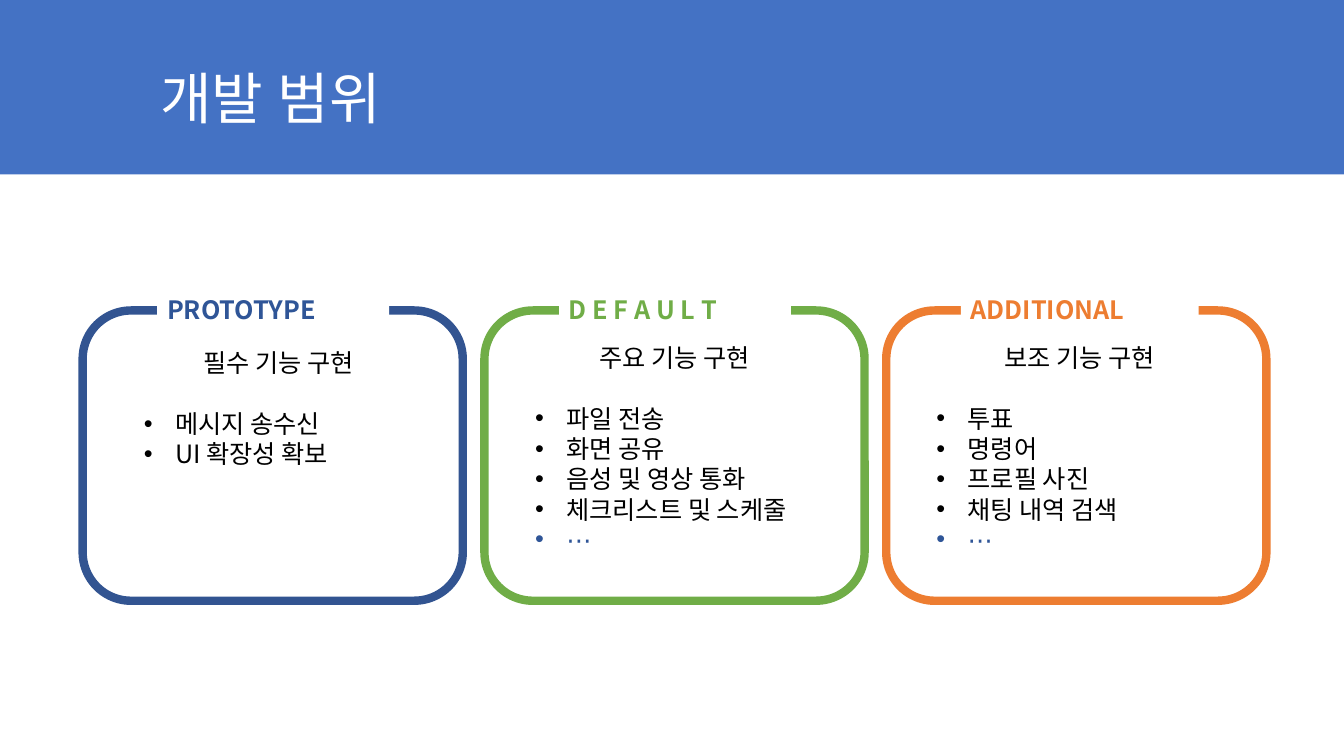
from lxml import etree
from pptx import Presentation
from pptx.dml.color import RGBColor
from pptx.enum import shapes, text
from pptx.oxml.ns import qn
from pptx.util import Inches, Pt

HUES = {"band": "4472C4", "blue": "325491", "navy": "2F5597", "green": "70AD47",
        "orange": "ED7D31", "white": "FFFFFF", "black": "000000"}
SANS = "Noto Sans CJK KR"
TITLE = "개발 범위"
MORE = "⋯"
CARDS = [
    {"name": "PROTOTYPE", "line": "blue", "ink": "navy", "head": "필수 기능 구현",
     "items": ["메시지 송수신", "UI 확장성 확보"],
     "body": (1.33, 3.4, 2.86, 1.31), "tag": 2.3},
    {"name": "D E F A U L T", "line": "green", "ink": "green", "head": "주요 기능 구현",
     "items": ["파일 전송", "화면 공유", "음성 및 영상 통화", "체크리스트 및 스케줄", MORE],
     "body": (5.21, 3.35, 2.97, 2.22), "tag": 2.3},
    {"name": "ADDITIONAL", "line": "orange", "ink": "orange", "head": "보조 기능 구현",
     "items": ["투표", "명령어", "프로필 사진", "채팅 내역 검색", MORE],
     "body": (9.19, 3.35, 3.03, 2.83), "tag": 2.36},
]
LEFT, TOP, WIDE, HIGH, STEP = 0.82, 3.08, 3.77, 2.88, 3.985
INSET, RISE, TALL = 0.74, 0.21, 0.4


def hue(key):
    return RGBColor.from_string(HUES[key])


def style(para, words, size, ink, face=SANS, bold=False):
    para.text = words
    font = para.font
    font.size, font.name, font.bold = Pt(size), face, bold
    font.color.rgb = hue(ink)
    etree.SubElement(font._element, qn("a:ea"), typeface=face)


def block(slide, kind, place, fill=None, line=None):
    shape = slide.shapes.add_shape(kind, *map(Inches, place))
    shape.shadow.inherit = False
    if fill:
        shape.fill.solid()
        shape.fill.fore_color.rgb = hue(fill)
    else:
        shape.fill.background()
    if line:
        shape.line.color.rgb = hue(line)
        shape.line.width = Pt(6)
    else:
        shape.line.fill.background()
    return shape


def bullet(para):
    props = para._p.get_or_add_pPr()
    props.set("marL", str(Inches(0.31)))
    props.set("indent", str(-Inches(0.31)))
    mark = etree.Element(qn("a:buChar"), char="•")
    face = etree.Element(qn("a:buFont"), typeface="Arial")
    props.insert(0, mark)
    props.insert(0, face)


def card(slide, data, left):
    box = slide.shapes.add_textbox(*map(Inches, data["body"]))
    frame = box.text_frame
    frame.word_wrap = True
    head = frame.paragraphs[0]
    style(head, data["head"], 18, "black")
    head.alignment = text.PP_ALIGN.CENTER
    head.space_after = Pt(21.6)
    for item in data["items"]:
        para = frame.add_paragraph()
        more = item == MORE
        style(para, item, 18, "navy" if more else "black", "Open Sans" if more else SANS)
        bullet(para)

    kind = shapes.MSO_SHAPE
    block(slide, kind.ROUNDED_RECTANGLE, (left, TOP, WIDE, HIGH), line=data["line"])
    tag = block(slide, kind.RECTANGLE, (left + INSET, TOP - RISE, data["tag"], TALL), "white")
    para = tag.text_frame.paragraphs[0]
    style(para, data["name"], 18, data["ink"], bold=True)
    para.alignment = text.PP_ALIGN.JUSTIFY


def main():
    deck = Presentation()
    deck.slide_width, deck.slide_height = Inches(13.33), Inches(7.5)
    slide = deck.slides.add_slide(deck.slide_layouts[5])
    band = block(slide, shapes.MSO_SHAPE.RECTANGLE, (0, -0.01, 13.33, 1.74), "band")
    title = slide.shapes.title
    band._element.addnext(title._element)
    title.left, title.top, title.width, title.height = map(Inches, (1.49, 0.28, 11.5, 1.45))
    title.text_frame.vertical_anchor = text.MSO_ANCHOR.MIDDLE
    para = title.text_frame.paragraphs[0]
    style(para, TITLE, 40, "white", "Montserrat")
    para.alignment = text.PP_ALIGN.LEFT
    para.line_spacing = 0.9
    for spot, data in enumerate(CARDS):
        card(slide, data, LEFT + spot * STEP)
    deck.save("out.pptx")


if __name__ == "__main__":
    main()
